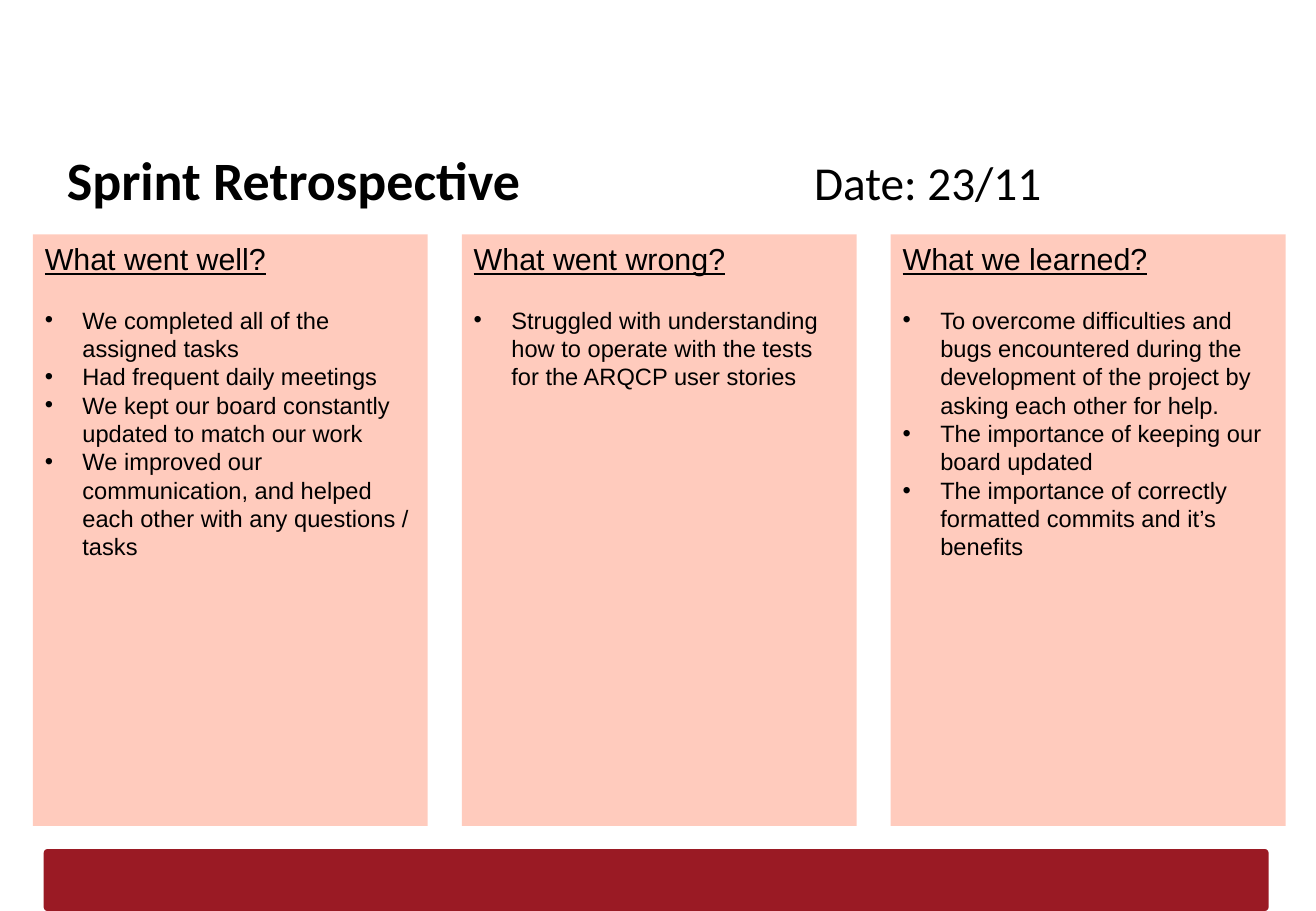
"""Build the sprint retrospective slide with three cards and a footer bar."""
import pptx
import pptx.dml.color
import pptx.enum.shapes
import pptx.enum.text
import pptx.oxml
import pptx.oxml.ns
import pptx.util

PX = 9144
COLOURS = {"text": "000000", "card": "FFCBBD", "footer": "9A1A24"}
CARD_LEFT, CARD_TOP, CARD_STEP = 27, 193, 353
CARD_WIDTH, CARD_HEIGHT = 325, 487
BULLET_INDENT = 31
DATE_TAB = 615
CARDS = [
    ("What went well?", [
        "We completed all of the assigned tasks",
        "Had frequent daily meetings",
        "We kept our board constantly updated to match our work",
        "We improved our communication, and helped each other with any questions / tasks",
    ]),
    ("What went wrong?", [
        "Struggled with understanding how to operate with the tests for the ARQCP user stories",
    ]),
    ("What we learned?", [
        "To overcome difficulties and bugs encountered during the development of the project by asking each other for help.",
        "The importance of keeping our board updated",
        "The importance of correctly formatted commits and it’s benefits",
    ]),
]


def px(length):
    return pptx.util.Emu(length * PX)


def colour(name):
    return pptx.dml.color.RGBColor.from_string(COLOURS[name])


def add_text(para, text, size, font="Arial", bold=False, underline=False):
    span = para.add_run()
    span.text = text
    span.font.name = font
    span.font.size = pptx.util.Pt(size)
    span.font.bold = bold
    span.font.underline = underline
    span.font.color.rgb = colour("text")


def add_box(page, kind, left, top, width, height, fill):
    box = page.shapes.add_shape(kind, px(left), px(top), px(width), px(height))
    box.shadow.inherit = False
    box.fill.solid()
    box.fill.fore_color.rgb = colour(fill)
    box.line.fill.background()
    return box


def add_property(para, tag, **attributes):
    properties = para._p.get_or_add_pPr()
    element = pptx.oxml.ns.qn(tag)
    child = properties.makeelement(element, attributes)
    properties.append(child)
    return child


def set_bullet(para):
    properties = para._p.get_or_add_pPr()
    properties.set("marL", str(px(BULLET_INDENT)))
    properties.set("indent", str(px(-BULLET_INDENT)))
    add_property(para, "a:buFont", typeface="Arial")
    add_property(para, "a:buChar", char="•")


def set_title(page):
    title = page.shapes.title
    title.left, title.top, title.width, title.height = px(45), px(109), px(989), px(63)
    frame = title.text_frame
    frame.auto_size = pptx.enum.text.MSO_AUTO_SIZE.NONE
    frame.word_wrap = True
    frame.vertical_anchor = pptx.enum.text.MSO_ANCHOR.TOP
    frame.margin_left = frame.margin_right = frame.margin_bottom = px(10)
    frame.margin_top = px(12)
    para = frame.paragraphs[0]
    para.alignment = pptx.enum.text.PP_ALIGN.LEFT
    tabs = add_property(para, "a:tabLst")
    tab = pptx.oxml.ns.qn("a:tab")
    tabs.append(tabs.makeelement(tab, {"pos": str(px(DATE_TAB)), "algn": "l"}))
    add_text(para, "Sprint Retrospective\t", 32, font="Calibri", bold=True)
    add_text(para, "Date: 23/11", 28, font="Calibri")


def add_card(page, left, heading, points):
    rectangle = pptx.enum.shapes.MSO_SHAPE.RECTANGLE
    card = add_box(page, rectangle, left, CARD_TOP, CARD_WIDTH, CARD_HEIGHT, "card")
    frame = card.text_frame
    frame.word_wrap = True
    frame.vertical_anchor = pptx.enum.text.MSO_ANCHOR.TOP
    para = frame.paragraphs[0]
    para.alignment = pptx.enum.text.PP_ALIGN.LEFT
    para.space_after = pptx.util.Pt(17)
    add_text(para, heading, 18, underline=True)
    for point in points:
        para = frame.add_paragraph()
        para.alignment = pptx.enum.text.PP_ALIGN.LEFT
        set_bullet(para)
        add_text(para, point, 14)


def main():
    deck = pptx.Presentation()
    deck.slide_width, deck.slide_height = px(1083), px(750)
    page = deck.slides.add_slide(deck.slide_layouts.get_by_name("Title Only"))
    rounded = pptx.enum.shapes.MSO_SHAPE.ROUNDED_RECTANGLE
    footer = add_box(page, rounded, 36, 699, 1008, 51, "footer")
    footer.adjustments[0] = 0.06
    set_title(page)
    for index, (heading, points) in enumerate(CARDS):
        add_card(page, CARD_LEFT + index * CARD_STEP, heading, points)
    deck.save("out.pptx")


if __name__ == "__main__":
    main()
